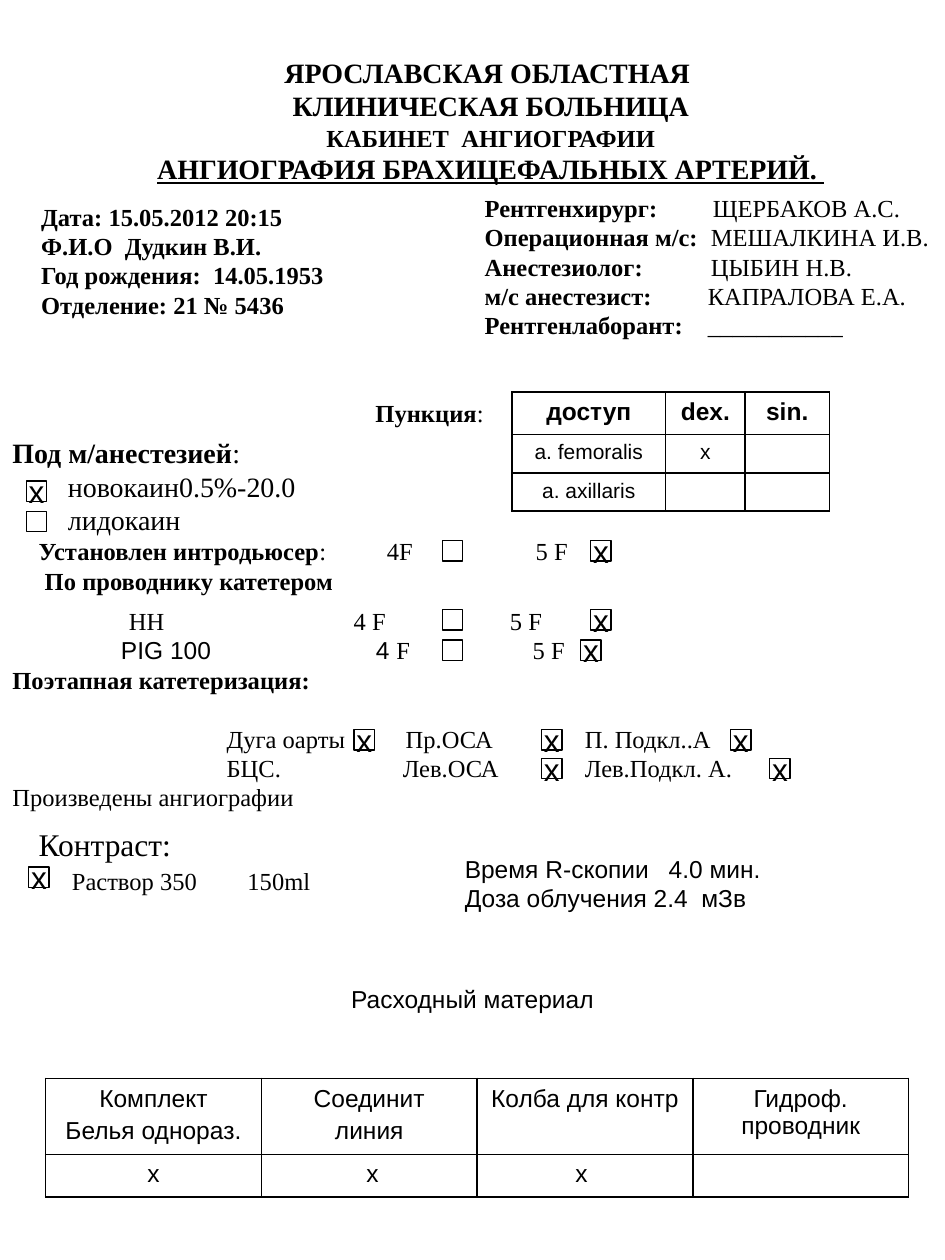
from dataclasses import dataclass

from lxml import etree
from pptx import Presentation
from pptx.dml.color import RGBColor
from pptx.enum.shapes import MSO_SHAPE
from pptx.enum.text import MSO_ANCHOR, MSO_AUTO_SIZE, PP_ALIGN
from pptx.oxml.ns import qn
from pptx.util import Cm, Pt

BLACK = RGBColor(0, 0, 0)
SERIF, SANS = "Times New Roman", "Arial"
LEFT, CENTER = PP_ALIGN.LEFT, PP_ALIGN.CENTER
TOP, MIDDLE = MSO_ANCHOR.TOP, MSO_ANCHOR.MIDDLE
NO_FIT = MSO_AUTO_SIZE.NONE
RECTANGLE = MSO_SHAPE.RECTANGLE
MARK = "х"
CHECK_SIZE = 0.41
LINE_PITCH = 1.2
TITLE_AREA = (1.32, 0.99, 17.15, 3.6)


@dataclass
class Span:
    text: str
    bold: bool = False
    font: str = SERIF
    underline: bool = False


@dataclass
class Line:
    spans: list[Span]
    size: float = 14
    tabs: tuple[float, ...] = ()
    align: PP_ALIGN = LEFT
    before: float = 0
    indent: float = 0


@dataclass
class TextBlock:
    area: tuple[float, float, float, float]
    lines: list[Line]


@dataclass
class CheckBox:
    left: float
    top: float
    checked: bool = True


@dataclass
class Grid:
    left: float
    top: float
    columns: list[float]
    rows: list[float]
    cells: list[list[str]]
    sizes: list[float]
    bold_header: bool = False


def heading(text: str, size: float = 16, underline: bool = False) -> Line:
    return Line([Span(text, True, underline=underline)], size, align=CENTER)


def staff(role: str, name: str, tab: float) -> Line:
    return Line([Span(role + "\t", True), Span(name)], tabs=(tab,))


TITLE = [
    heading("ЯРОСЛАВСКАЯ ОБЛАСТНАЯ "),
    heading("КЛИНИЧЕСКАЯ БОЛЬНИЦА"),
    heading("КАБИНЕТ  АНГИОГРАФИИ", 14),
    heading("АНГИОГРАФИЯ БРАХИЦЕФАЛЬНЫХ АРТЕРИЙ. ", underline=True),
]
PATIENT = ["Дата: 15.05.2012 20:15", "Ф.И.О  Дудкин В.И.",
           "Год рождения:  14.05.1953", "Отделение: 21 № 5436"]

BLOCKS = [
    TextBlock((0.58, 3.94, 7.14, 2.7), [Line([Span(text, True)]) for text in PATIENT]),
    TextBlock((9.52, 3.76, 9.53, 3.25), [
        staff("Рентгенхирург:", "ЩЕРБАКОВ А.С.", 4.6),
        staff("Операционная м/с:", "МЕШАЛКИНА И.В.", 4.56),
        staff("Анестезиолог:", "ЦЫБИН Н.В.", 4.56),
        staff("м/с анестезист:", "КАПРАЛОВА Е.А.", 4.5),
        staff("Рентгенлаборант:", "___________", 4.5),
    ]),
    TextBlock((7.32, 7.9, 2.9, 0.84), [Line([Span("Пункция", True), Span(":")])]),
    TextBlock((0, 8.66, 8.69, 2.3), [
        Line([Span("Под м/анестезией", True), Span(":")], 16),
        Line([Span("новокаин0.5%-20.0")], 16, indent=1.12),
        Line([Span("лидокаин")], 16, indent=1.12),
    ]),
    TextBlock((0.53, 10.69, 16.05, 1.45), [
        Line([Span("Установлен интродьюсер", True), Span(":\t4F\t5 F")], tabs=(7.02, 10.02)),
        Line([Span(" По проводнику катетером", True)]),
    ]),
    TextBlock((0, 12.09, 19.05, 5.05), [
        Line([Span("\tНН\t4 F\t5 F")], tabs=(2.35, 6.88, 10.03)),
        Line([Span("\tРIG 100\t4 ", font=SANS), Span("F\t5 F")], tabs=(2.19, 7.33, 10.49)),
        Line([Span("Поэтапная катетеризация:", True)]),
        Line([Span("\tДуга оарты\tПр.ОСА\tП. Подкл..А")],
             tabs=(4.32, 7.93, 11.54), before=16.8),
        Line([Span("\tБЦС.\tЛев.ОСА\tЛев.Подкл. А.")], tabs=(4.32, 7.87, 11.54)),
        Line([Span("Произведены ангиографии")]),
    ]),
    TextBlock((0.53, 16.51, 9.45, 1.9), [
        Line([Span("Контраст:")], 18),
        Line([Span("\tРаствор 350\t150ml")], tabs=(0.67, 4.21), before=2),
    ]),
    TextBlock((9.12, 17.09, 7.92, 1.45), [
        Line([Span("Время R-скопии\t4.0 мин.", font=SANS)], tabs=(4.11,)),
        Line([Span("Доза облучения 2.4  мЗв", font=SANS)]),
    ]),
    TextBlock((0, 19.71, 19.05, 0.9),
              [Line([Span("Расходный материал", font=SANS)], align=CENTER)]),
]

CHECKS = [
    CheckBox(0.53, 9.7), CheckBox(0.53, 10.31, False),
    CheckBox(8.92, 10.9, False), CheckBox(11.91, 10.9),
    CheckBox(8.92, 12.29, False), CheckBox(11.91, 12.29),
    CheckBox(8.92, 12.9, False), CheckBox(11.71, 12.9),
    CheckBox(7.14, 14.71), CheckBox(10.92, 14.71), CheckBox(14.73, 14.71),
    CheckBox(10.92, 15.29), CheckBox(15.52, 15.29),
    CheckBox(0.58, 17.48),
]

ACCESS = Grid(10.32, 7.9, [3.1, 1.6, 1.7], [0.86, 0.77, 0.77], [
    ["доступ", "dex.", "sin."],
    ["a. femoralis", MARK, ""],
    ["a. axillaris", "", ""],
], [14, 12, 12], True)
SUPPLIES = Grid(0.92, 21.74, [4.35] * 4, [1.53, 0.85], [
    ["Комплект\nБелья однораз.", "Соединит\nлиния", "Колба для контр", "Гидроф. проводник"],
    [MARK, " " + MARK, MARK + " ", ""],
], [14, 14])


def apply(target, formats: dict) -> None:
    for name, value in formats.items():
        setattr(target, name, value)


def add_span(para, span: Span, size: float) -> None:
    run = para.add_run()
    run.text = span.text
    apply(run.font, {"name": span.font, "size": Pt(size), "bold": span.bold,
                     "underline": span.underline})
    run.font.color.rgb = BLACK


def write_lines(frame, lines: list[Line]) -> None:
    apply(frame, {"word_wrap": True, "auto_size": NO_FIT, "vertical_anchor": TOP})
    for index, line in enumerate(lines):
        para = frame.paragraphs[0] if index == 0 else frame.add_paragraph()
        apply(para, {"alignment": line.align, "line_spacing": Pt(line.size * LINE_PITCH),
                     "space_before": Pt(line.before)})
        properties = para._p.get_or_add_pPr()
        if line.indent:
            properties.set("marL", str(Cm(line.indent)))
        if line.tabs:
            tab_list = etree.SubElement(properties, qn("a:tabLst"))
            for tab in line.tabs:
                etree.SubElement(tab_list, qn("a:tab"), pos=str(Cm(tab)), algn="l")
        for span in line.spans:
            add_span(para, span, line.size)


def add_check(page, check: CheckBox) -> None:
    box = page.shapes.add_shape(RECTANGLE, Cm(check.left), Cm(check.top),
                                Cm(CHECK_SIZE), Cm(CHECK_SIZE))
    box.shadow.inherit = False
    box.fill.background()
    box.line.color.rgb = BLACK
    box.line.width = Pt(0.75)
    if check.checked:
        apply(box.text_frame, {"word_wrap": False, "vertical_anchor": MIDDLE})
        para = box.text_frame.paragraphs[0]
        para.alignment = CENTER
        add_span(para, Span(MARK, font=SANS), 18)


def add_borders(cell) -> None:
    properties = cell._tc.get_or_add_tcPr()
    for index, side in enumerate(("lnL", "lnR", "lnT", "lnB")):
        border = etree.Element(qn(f"a:{side}"), w=str(Pt(1)))
        fill = etree.SubElement(border, qn("a:solidFill"))
        etree.SubElement(fill, qn("a:srgbClr"), val=str(BLACK))
        properties.insert(index, border)


def add_grid(page, grid: Grid) -> None:
    table = page.shapes.add_table(
        len(grid.rows), len(grid.columns), Cm(grid.left), Cm(grid.top),
        Cm(sum(grid.columns)), Cm(sum(grid.rows))).table
    apply(table, {"first_row": False, "horz_banding": False})
    for column, width in zip(table.columns, grid.columns):
        column.width = Cm(width)
    for index, (row, height, size) in enumerate(zip(table.rows, grid.rows, grid.sizes)):
        row.height = Cm(height)
        for cell, text in zip(row.cells, grid.cells[index]):
            cell.fill.background()
            add_borders(cell)
            for number, part in enumerate(text.split("\n")):
                frame = cell.text_frame
                para = frame.add_paragraph() if number else frame.paragraphs[0]
                apply(para, {"alignment": CENTER, "space_before": Pt(0.2 * size * number)})
                if part:
                    add_span(para, Span(part, grid.bold_header and index == 0, SANS), size)
                else:
                    etree.SubElement(para._p, qn("a:endParaRPr"), sz=str(size * 100))


def main() -> None:
    deck = Presentation()
    deck.slide_width, deck.slide_height = Cm(19.05), Cm(25.4)
    page = deck.slides.add_slide(deck.slide_layouts[5])
    title = page.shapes.title
    apply(title, dict(zip(("left", "top", "width", "height"), map(Cm, TITLE_AREA))))
    write_lines(title.text_frame, TITLE)
    for block in BLOCKS:
        box = page.shapes.add_textbox(*map(Cm, block.area))
        write_lines(box.text_frame, block.lines)
    for check in CHECKS:
        add_check(page, check)
    for grid in (ACCESS, SUPPLIES):
        add_grid(page, grid)
    deck.save("out.pptx")


if __name__ == "__main__":
    main()
